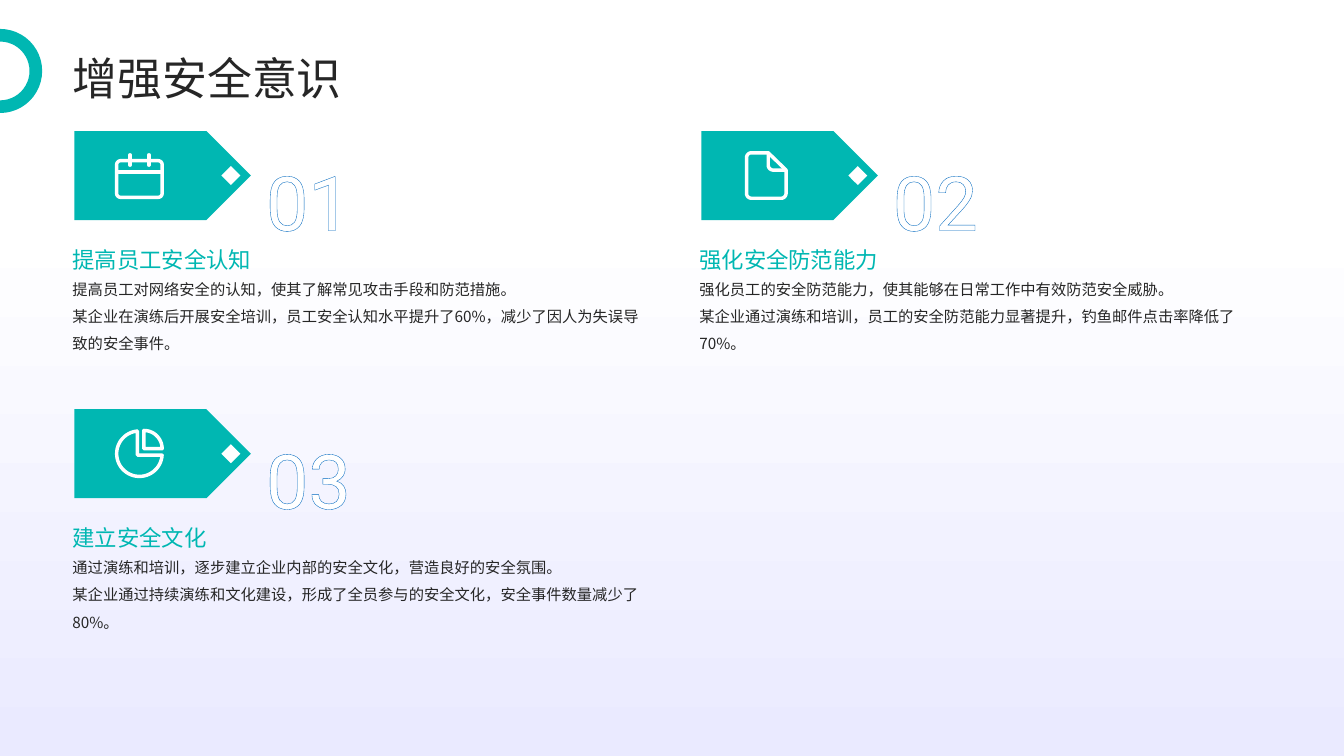
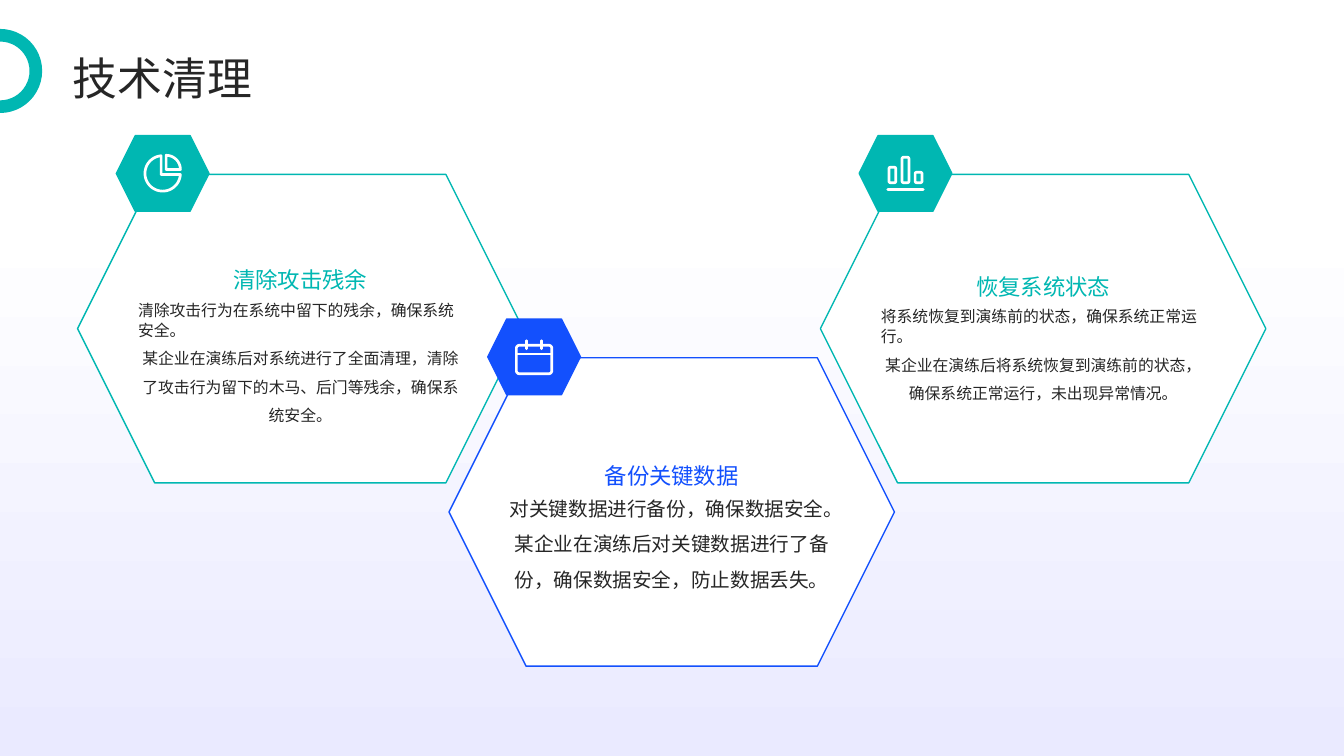
from dataclasses import dataclass
from math import cos, radians, sin

from lxml import etree
from pptx import Presentation
from pptx.dml.color import RGBColor
from pptx.enum.lang import MSO_LANGUAGE_ID
from pptx.enum.shapes import MSO_SHAPE
from pptx.enum.text import MSO_ANCHOR, MSO_AUTO_SIZE, PP_ALIGN
from pptx.oxml.ns import qn
from pptx.util import Pt

RECTANGLE, OVAL = MSO_SHAPE.RECTANGLE, MSO_SHAPE.OVAL
ARROW, HEXAGON = MSO_SHAPE.PENTAGON, MSO_SHAPE.HEXAGON
LEFT, CENTER = PP_ALIGN.LEFT, PP_ALIGN.CENTER
TOP, MIDDLE, BOTTOM = MSO_ANCHOR.TOP, MSO_ANCHOR.MIDDLE, MSO_ANCHOR.BOTTOM
CHINESE = MSO_LANGUAGE_ID.SIMPLIFIED_CHINESE

TEAL, BLUE, OUTLINE = "00B7B2", "1350FD", "0068BF"
INK, WHITE, LAVENDER = "262626", "FFFFFF", "EAEAFF"
TEXT_FONT, NUMBER_FONT = "Noto Sans CJK SC", "Roboto"
TITLE_ONLY = 5


@dataclass(frozen=True)
class TextStyle:
    size: float
    color: str
    leading: float  # line pitch as a multiple of the size
    align: PP_ALIGN = LEFT
    font: str = TEXT_FONT
    outline: str = ""


@dataclass(frozen=True)
class Measure:
    icon: str
    number: str
    heading: str
    lines: tuple[str, str]
    column: int
    row: int


@dataclass(frozen=True)
class Cell:
    icon: str
    color: str
    heading: str
    lines: tuple[str, str]
    size: float
    top: float
    text_offset: float


MEASURES = [
    Measure("calendar", "01", "提高员工安全认知", (
        "提高员工对网络安全的认知，使其了解常见攻击手段和防范措施。",
        "某企业在演练后开展安全培训，员工安全认知水平提升了60%，减少了因人为失误导致的安全事件。"), 0, 0),
    Measure("document", "02", "强化安全防范能力", (
        "强化员工的安全防范能力，使其能够在日常工作中有效防范安全威胁。",
        "某企业通过演练和培训，员工的安全防范能力显著提升，钓鱼邮件点击率降低了70%。"), 1, 0),
    Measure("pie", "03", "建立安全文化", (
        "通过演练和培训，逐步建立企业内部的安全文化，营造良好的安全氛围。",
        "某企业通过持续演练和文化建设，形成了全员参与的安全文化，安全事件数量减少了80%。"), 0, 1),
]
CELLS = [
    Cell("pie", TEAL, "清除攻击残余", (
        "清除攻击行为在系统中留下的残余，确保系统安全。",
        "某企业在演练后对系统进行了全面清理，清除了攻击行为留下的木马、后门等残余，确保系统安全。"),
        11.3, 124.6, 30),
    Cell("calendar", BLUE, "备份关键数据", (
        "对关键数据进行备份，确保数据安全。",
        "某企业在演练后对关键数据进行了备份，确保数据安全，防止数据丢失。"),
        14, 255.6, 39),
    Cell("bars", TEAL, "恢复系统状态", (
        "将系统恢复到演练前的状态，确保系统正常运行。",
        "某企业在演练后将系统恢复到演练前的状态，确保系统正常运行，未出现异常情况。"),
        11.3, 124.6, 34.5),
]


# Icon strokes on a unit square
def arc(x: float, y: float, radius: float, start: int, end: int) -> list:
    steps = max(4, abs(end - start) // 6)
    angles = [radians(start + (end - start) * i / steps) for i in range(steps + 1)]
    return [(x + radius * cos(a), y + radius * sin(a)) for a in angles]


def rounded(left: float, top: float, right: float, bottom: float, radius: float) -> list:
    x1, x2, y1, y2 = left + radius, right - radius, top + radius, bottom - radius
    corners = [(x1, y1, 180), (x2, y1, 270), (x2, y2, 0), (x1, y2, 90)]
    return [point for x, y, start in corners
            for point in arc(x, y, radius, start, start + 90)]


# Each stroke is (points, closed)
ICONS = {
    "calendar": [
        (rounded(0.04, 0.2, 0.96, 0.94, 0.08), True),
        ([(0.04, 0.43), (0.96, 0.43)], False),
        ([(0.31, 0.08), (0.31, 0.29)], False),
        ([(0.69, 0.08), (0.69, 0.29)], False)],
    "document": [
        ([(0.54, 0.04), (0.9, 0.39)] + arc(0.8, 0.86, 0.1, 0, 90)
         + arc(0.2, 0.86, 0.1, 90, 180) + arc(0.2, 0.14, 0.1, 180, 270), True),
        ([(0.54, 0.04)] + arc(0.64, 0.29, 0.1, 180, 90) + [(0.9, 0.39)], False)],
    "pie": [
        ([(0.46, 0.04), (0.46, 0.53), (0.96, 0.53)] + arc(0.5, 0.5, 0.46, 4, 265), True),
        ([(0.59, 0.4)] + arc(0.59, 0.4, 0.37, -90, 0), True)],
    "bars": [
        (rounded(0.07, 0.34, 0.25, 0.74, 0.04), True),
        (rounded(0.41, 0.08, 0.59, 0.74, 0.04), True),
        (rounded(0.75, 0.47, 0.93, 0.74, 0.04), True),
        ([(0.04, 0.92), (0.96, 0.92)], False)],
}


# Shared drawing helpers
def rgb(color: str) -> RGBColor:
    return RGBColor.from_string(color)


def paint(shape, fill: str = "", line: str = "", width: float = 1) -> None:
    shape.shadow.inherit = False
    if fill:
        shape.fill.solid()
        shape.fill.fore_color.rgb = rgb(fill)
    else:
        shape.fill.background()
    if line:
        shape.line.color.rgb = rgb(line)
        shape.line.width = Pt(width)
    else:
        shape.line.fill.background()


def add_shape(page, kind: MSO_SHAPE, left: float, top: float, width: float,
              height: float, fill: str = "", line: str = "", line_width: float = 1):
    shape = page.shapes.add_shape(kind, Pt(left), Pt(top), Pt(width), Pt(height))
    paint(shape, fill, line, line_width)
    return shape


def add_icon(page, name: str, center_x: float, center_y: float, size: float) -> None:
    left, top = center_x - size / 2, center_y - size / 2
    builder = None
    for points, closed in ICONS[name]:
        start, *rest = [(Pt(left + x * size), Pt(top + y * size)) for x, y in points]
        if builder is None:
            builder = page.shapes.build_freeform(*start)
        else:
            builder.move_to(*start)
        builder.add_line_segments(rest, close=closed)
    icon = builder.convert_to_shape()
    paint(icon, line=WHITE, width=size * 0.07)
    icon.line._get_or_add_ln().set("cap", "rnd")


def write(frame, paragraphs: list[tuple[str, TextStyle]], anchor: MSO_ANCHOR) -> None:
    frame.word_wrap = True
    frame.auto_size = MSO_AUTO_SIZE.NONE
    frame.vertical_anchor = anchor
    frame.margin_left = frame.margin_top = frame.margin_right = frame.margin_bottom = 0
    for index, (text, style) in enumerate(paragraphs):
        para = frame.add_paragraph() if index else frame.paragraphs[0]
        para.alignment = style.align
        para.line_spacing = Pt(round(style.size * style.leading, 1))
        para.space_before = para.space_after = Pt(0)
        span = para.add_run()
        span.text = text
        font = span.font
        font.size = Pt(style.size)
        font.color.rgb = rgb(style.color)
        font.name = style.font
        font.language_id = CHINESE
        properties = span._r.get_or_add_rPr()
        etree.SubElement(properties, qn("a:ea")).set("typeface", style.font)
        if style.outline:
            line = etree.Element(qn("a:ln"), w=str(Pt(1.25)))
            fill = etree.SubElement(line, qn("a:solidFill"))
            etree.SubElement(fill, qn("a:srgbClr")).set("val", style.outline)
            properties.insert(0, line)


def add_text(page, left: float, top: float, width: float, height: float,
             paragraphs: list[tuple[str, TextStyle]], anchor: MSO_ANCHOR = TOP) -> None:
    box = page.shapes.add_textbox(Pt(left), Pt(top), Pt(width), Pt(height))
    write(box.text_frame, paragraphs, anchor)


def body_text(lines: tuple[str, str], size: float, align: PP_ALIGN) -> list:
    return [(lines[0], TextStyle(size, INK, 1.25)),
            (lines[1], TextStyle(size, INK, 1.8, align))]


def set_background(master) -> None:
    fill = master.background.fill
    fill.gradient()
    fill.gradient_angle = 270
    for stop, color, position in zip(fill.gradient_stops, (WHITE, LAVENDER), (0.29, 1)):
        stop.color.rgb = rgb(color)
        stop.position = position


def add_page(deck, title: str):
    page = deck.slides.add_slide(deck.slide_layouts[TITLE_ONLY])
    add_shape(page, OVAL, -25.4, 25.2, 51, 51, line=TEAL, line_width=9)
    box = page.shapes.title
    box.left, box.top, box.width, box.height = Pt(52), Pt(33.8), Pt(855), Pt(34)
    write(box.text_frame, [(title, TextStyle(32, INK, 1.5))], MIDDLE)
    return page


# Slide 1: numbered measures on a grid
def add_measure(page, item: Measure) -> None:
    left, top = 53.2 + item.column * 447.8, 93.6 + item.row * 198.7
    middle = top + 31.8
    add_shape(page, ARROW, left, top, 126, 63.6, TEAL)
    diamond = add_shape(page, RECTANGLE, left + 106.9, middle - 4.8, 9.6, 9.6, WHITE)
    diamond.rotation = 45
    add_icon(page, item.icon, left + 46.4, middle, 35.3)
    number_style = TextStyle(54, WHITE, 1.6, CENTER, NUMBER_FONT, OUTLINE)
    add_text(page, left + 129.6, top - 4.4, 75, 78, [(item.number, number_style)])
    add_text(page, left - 1.4, top + 73.4, 407, 29,
             [(item.heading, TextStyle(16, TEAL, 1.7))], MIDDLE)
    add_text(page, left - 1.4, top + 105.8, 407, 78.5, body_text(item.lines, 10.9, LEFT))


# Slide 2: hexagon cells with icon badges
def add_cell(page, item: Cell, left: float) -> None:
    add_shape(page, HEXAGON, left, item.top, 318.2, 220.3, WHITE, item.color)
    text_left, text_top = left + 43.2, item.top + item.text_offset
    add_text(page, text_left, text_top, 231.8, 55,
             [(item.heading, TextStyle(16, item.color, 1.7, CENTER))], BOTTOM)
    add_text(page, text_left, text_top + 59.8, 231.8, 95,
             body_text(item.lines, item.size, CENTER))
    badge_left, badge_top = left + 27.7, item.top - 27.7
    add_shape(page, HEXAGON, badge_left, badge_top, 66.2, 54, item.color, item.color)
    add_icon(page, item.icon, badge_left + 33.1, badge_top + 27, 27.5)


def main() -> None:
    deck = Presentation()
    deck.slide_width, deck.slide_height = Pt(960), Pt(540)
    set_background(deck.slide_master)

    page = add_page(deck, "增强安全意识")
    for measure in MEASURES:
        add_measure(page, measure)

    page = add_page(deck, "技术清理")
    for index, cell in enumerate(CELLS):
        add_cell(page, cell, 55.4 + index * 265.3)

    deck.save("out.pptx")


if __name__ == "__main__":
    main()
